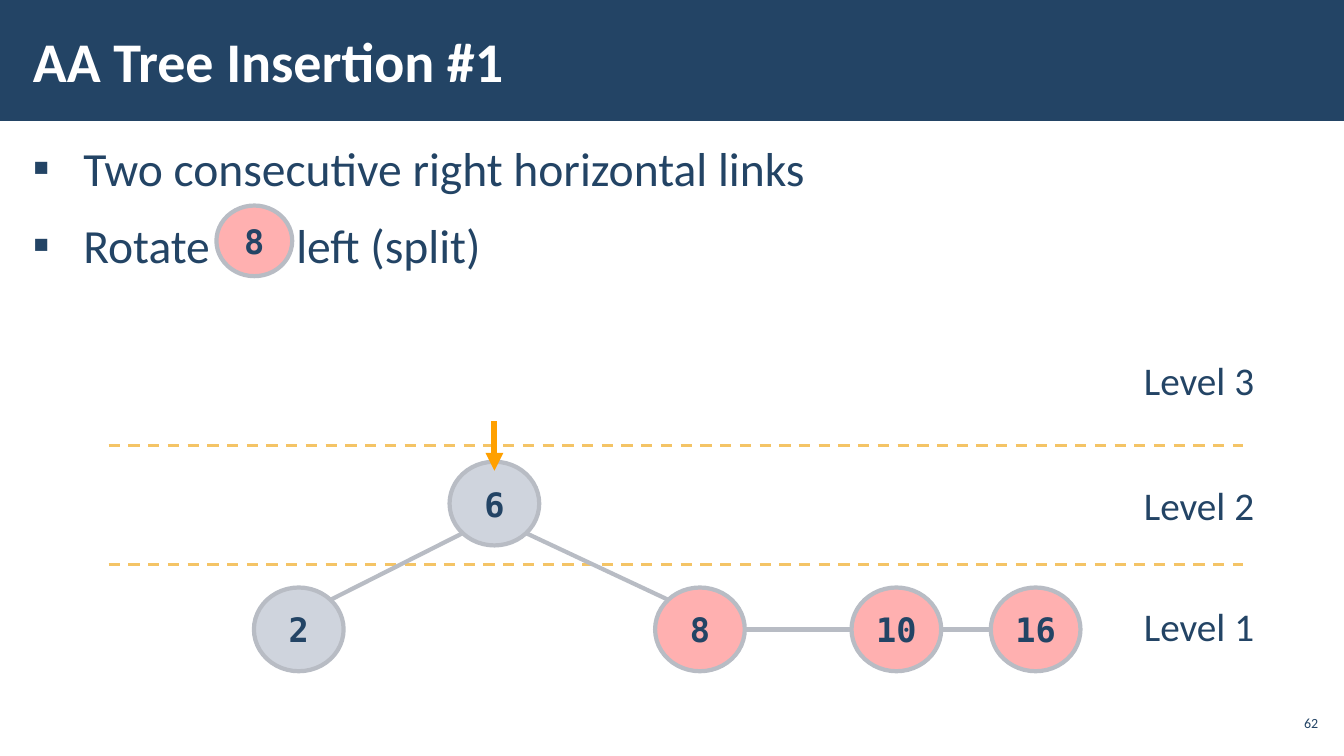
from dataclasses import dataclass
from math import cos, radians, sin

from lxml import etree
from pptx import Presentation
from pptx import util as u
from pptx.dml.color import RGBColor
from pptx.enum import dml, shapes, text
from pptx.oxml import ns

Cm, Pt = u.Cm, u.Pt
MID = text.MSO_ANCHOR.MIDDLE


@dataclass(frozen=True)
class Theme:
    navy: str = "234465"
    white: str = "FFFFFF"
    gray: str = "A1AABC"
    rim: str = "B8BCC4"
    pink: str = "FFB0B0"
    dash: str = "F4C466"
    arrow: str = "FFA000"
    font: str = "Calibri"
    mono: str = "DejaVu Sans Mono"
    title: int = 40
    body: int = 34
    level: int = 28
    key: int = 24
    page: int = 10


T = Theme()
WIDE, HIGH = 2.26, 2.11  # tree node size in cm


def rgb(tint):
    return RGBColor.from_string(tint)


def sub(node, tag, **attrs):
    return etree.SubElement(node, ns.qn(tag), **attrs)


def add_run(para, words, size, tint=T.navy, face=T.font, bold=False):
    run = para.add_run()
    run.text = words
    font = run.font
    font.size, font.name, font.bold = Pt(size), face, bold
    font.color.rgb = rgb(tint)
    return run


def set_frame(frame, pad, anchor=text.MSO_ANCHOR.TOP):
    frame.word_wrap = True
    frame.vertical_anchor = anchor
    frame.margin_left = frame.margin_right = Cm(pad[0])
    frame.margin_top = frame.margin_bottom = Cm(pad[1])


def add_box(slide, at, pad=(0.25, 0.13), anchor=text.MSO_ANCHOR.TOP):
    frame = slide.shapes.add_textbox(*map(Cm, at)).text_frame
    set_frame(frame, pad, anchor)
    return frame


def add_shape(slide, kind, at, fill):
    shape = slide.shapes.add_shape(kind, *map(Cm, at))
    shape.shadow.inherit = False
    shape.fill.solid()
    shape.fill.fore_color.rgb = rgb(fill)
    return shape


def add_line(slide, start, end, tint, width):
    line = slide.shapes.add_connector(
        shapes.MSO_CONNECTOR.STRAIGHT, *map(Cm, (*start, *end)))
    line.line.color.rgb = rgb(tint)
    line.line.width = Pt(width)
    sub(line._element.spPr, "a:effectLst")
    return line


def add_node(slide, key, mid, fill, size=(WIDE, HIGH)):
    """Draw a tree node around its centre; gray nodes are half clear."""
    (x, y), (w, h) = mid, size
    node = add_shape(slide, shapes.MSO_SHAPE.OVAL,
                     (x - w / 2, y - h / 2, w, h), fill)
    node.line.color.rgb = rgb(T.rim)
    node.line.width = Pt(3)
    if fill == T.gray:
        tint = node._element.spPr.find(".//" + ns.qn("a:srgbClr"))
        sub(tint, "a:alpha", val="50000")
    set_frame(node.text_frame, (0.25, 0.13), MID)
    para = node.text_frame.paragraphs[0]
    para.alignment = text.PP_ALIGN.CENTER
    add_run(para, key, T.key, face=T.mono, bold=True)


def rim_point(mid, angle):
    """Point on a node's rim, with the angle clockwise from the right."""
    turn = radians(angle)
    return mid[0] + WIDE / 2 * cos(turn), mid[1] + HIGH / 2 * sin(turn)


def add_bullet(para):
    props = para._p.get_or_add_pPr()
    props.set("marL", str(Cm(1.27)))
    props.set("indent", str(-Cm(1.27)))
    para.line_spacing = 1.05
    sub(sub(props, "a:buClr"), "a:srgbClr", val=T.navy)
    sub(props, "a:buFont", typeface=T.font)
    sub(props, "a:buChar", char="▪")


def add_head(slide):
    add_shape(slide, shapes.MSO_SHAPE.RECTANGLE, (0, 0, 33.87, 3.05),
              T.navy).line.fill.background()
    frame = add_box(slide, (0.53, 0.28, 26.42, 2.46), (0.3, 0.1), MID)
    add_run(frame.paragraphs[0], "AA Tree Insertion #1", T.title,
            T.white, bold=True)


def add_body(slide):
    frame = add_box(slide, (0.53, 3.33, 32.82, 14.45), (0.3, 0.1))
    first, second = frame.paragraphs[0], frame.add_paragraph()
    second.space_before = Pt(12)
    add_bullet(first)
    add_run(first, "Two consecutive right horizontal links", T.body)
    add_bullet(second)
    add_run(second, "Rotate", T.body)
    gap = add_run(second, " ", T.body)
    gap._r.get_or_add_rPr().set("spc", "5400")  # room for the inline node
    add_run(second, "left (split)", T.body)
    add_node(slide, "8", (6.41, 6.07), T.pink, (1.91, 1.78))


def add_levels(slide):
    for y in (11.23, 14.22):
        line = add_line(slide, (2.74, y), (31.32, y), T.dash, 2)
        line.line.dash_style = dml.MSO_LINE.DASH
    for level, y in ((3, 8.84), (2, 11.99), (1, 15.04)):
        frame = add_box(slide, (28.58, y, 3.33, 1.45))
        add_run(frame.paragraphs[0], f"Level {level}", T.level)


def add_tree(slide):
    low = 15.86
    nodes = {
        "6": ((12.46, 12.69), T.gray),
        "2": ((7.53, low), T.gray),
        "8": ((17.64, low), T.pink),
        "10": ((22.59, low), T.pink),
        "16": ((26.1, low), T.pink),
    }
    links = (("6", 135, "2", 315), ("6", 45, "8", 225),
             ("8", 0, "10", 180), ("10", 0, "16", 180))
    for key, (mid, fill) in nodes.items():
        add_node(slide, key, mid, fill)
    for start, out, end, into in links:
        add_line(slide, rim_point(nodes[start][0], out),
                 rim_point(nodes[end][0], into), T.rim, 3)
    x = nodes["6"][0][0]
    arrow = add_line(slide, (x, 10.62), (x, 11.86), T.arrow, 4.25)
    sub(arrow.line._get_or_add_ln(), "a:tailEnd", type="triangle")


def add_page(slide):
    frame = add_box(slide, (32.13, 17.78, 1.19, 0.86), (0.1, 0.1), MID)
    para = frame.paragraphs[0]
    para.alignment = text.PP_ALIGN.RIGHT
    add_run(para, "62", T.page)


def main():
    deck = Presentation()
    deck.slide_width, deck.slide_height = Cm(33.87), Cm(19.05)
    slide = deck.slides.add_slide(deck.slide_layouts[6])
    add_head(slide)
    add_body(slide)
    add_levels(slide)
    add_tree(slide)
    add_page(slide)
    deck.save("out.pptx")


if __name__ == "__main__":
    main()
